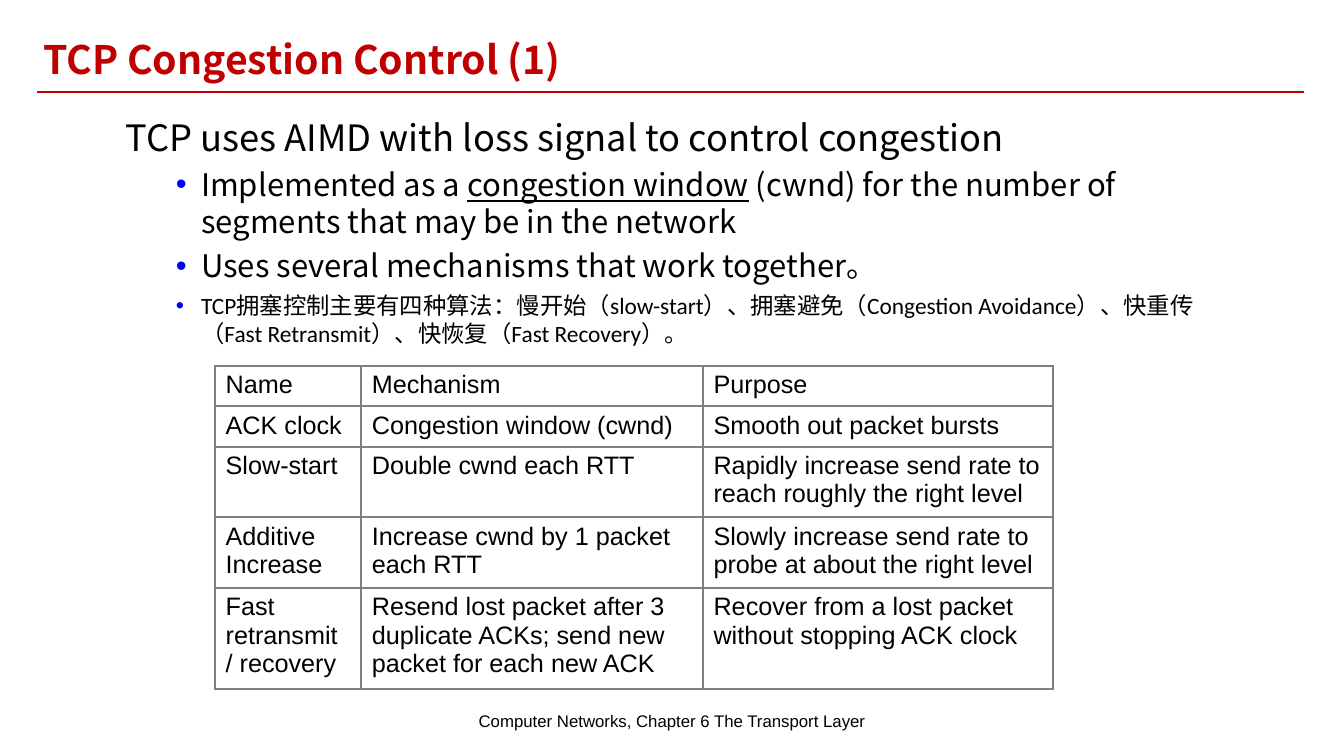
from dataclasses import dataclass

from lxml import etree
from pptx import Presentation
from pptx.dml.color import RGBColor
from pptx.enum.shapes import MSO_CONNECTOR as Connector, MSO_SHAPE as Shape
from pptx.enum.text import MSO_ANCHOR as Anchor, PP_ALIGN as Align
from pptx.oxml.ns import qn
from pptx.util import Pt


@dataclass(frozen=True)
class Theme:
    red: str = "C00000"
    blue: str = "0000FF"
    black: str = "000000"
    white: str = "FFFFFF"
    grey: str = "808080"
    cjk: str = "Noto Sans CJK SC"
    latin: str = "Calibri"
    plain: str = "Arial"
    title: float = 28
    lead: float = 25.9
    point: float = 22.2
    note: float = 16.7
    cell: float = 18
    footer: float = 12
    rule: float = 1.5


THEME = Theme()

POINTS = [
    (["Implemented as a ", "congestion window",
      " (cwnd) for the number of segments that may be in the network"], THEME.point, THEME.cjk),
    (["Uses several mechanisms that work together。"], THEME.point, THEME.cjk),
    (["TCP拥塞控制主要有四种算法：慢开始（slow-start）、拥塞避免（Congestion Avoidance）、"
      "快重传（Fast Retransmit）、快恢复（Fast Recovery）。"], THEME.note, THEME.latin),
]

MECHANISMS = [
    ("Name", "Mechanism", "Purpose"),
    ("ACK clock", "Congestion window (cwnd)", "Smooth out packet bursts"),
    ("Slow-start", "Double cwnd each RTT",
     "Rapidly increase send rate to reach roughly the right level"),
    ("Additive Increase", "Increase cwnd by 1 packet each RTT",
     "Slowly increase send rate to probe at about the right level"),
    ("Fast retransmit / recovery",
     "Resend lost packet after 3 duplicate ACKs; send new packet for each new ACK",
     "Recover from a lost packet without stopping ACK clock"),
]
COLUMN_WIDTHS = [104.4, 244.1, 249.8]
ROW_HEIGHTS = [26.4, 26.4, 46.4, 46.4, 66.2]


def color(value):
    return RGBColor.from_string(value)


def add_text(para, text, *, size, font=THEME.plain, fill=THEME.black, bold=False, underline=False):
    """Add one formatted span to a paragraph."""
    span = para.add_run()
    span.text = text
    span.font.size = Pt(size)
    span.font.name = font
    span.font.bold = bold
    span.font.underline = underline
    span.font.color.rgb = color(fill)
    east_asian = etree.Element(qn("a:ea"), typeface=THEME.cjk)
    span.font._element.find(qn("a:latin")).addnext(east_asian)


def set_bullet(para):
    """Give a paragraph a blue bullet with a hanging indent."""
    para.level = 1
    props = para._p.get_or_add_pPr()
    props.set("marL", str(Pt(54)))
    props.set("indent", str(Pt(-18)))
    tint = etree.SubElement(props, qn("a:buClr"))
    etree.SubElement(tint, qn("a:srgbClr"), val=THEME.blue)
    etree.SubElement(props, qn("a:buFont"), typeface=THEME.plain)
    etree.SubElement(props, qn("a:buChar"), char="•")


def set_borders(cell):
    """Draw the four edges of a cell; they come before its fill."""
    props = cell._tc.get_or_add_tcPr()
    for index, side in enumerate(("a:lnL", "a:lnR", "a:lnT", "a:lnB")):
        edge = etree.Element(qn(side), w=str(Pt(THEME.rule)))
        fill = etree.SubElement(edge, qn("a:solidFill"))
        etree.SubElement(fill, qn("a:srgbClr"), val=THEME.grey)
        props.insert(index, edge)


def add_rule(page, left, right, top):
    line = page.shapes.add_connector(Connector.STRAIGHT, Pt(left), Pt(top), Pt(right), Pt(top))
    line.line.color.rgb = color(THEME.red)
    line.line.width = Pt(THEME.rule)
    etree.SubElement(line._element.spPr, qn("a:effectLst"))


def add_title(page, text):
    box = page.shapes.add_shape(Shape.RECTANGLE, Pt(23.8), Pt(21.6), Pt(922.3), Pt(41))
    box.shadow.inherit = False
    box.fill.solid()
    box.fill.fore_color.rgb = color(THEME.white)
    box.line.fill.background()
    box.text_frame.vertical_anchor = Anchor.MIDDLE
    para = box.text_frame.paragraphs[0]
    para.alignment = Align.LEFT
    add_text(para, text, size=THEME.title, font=THEME.cjk, fill=THEME.red, bold=True)


def add_body(page, lead):
    frame = page.shapes.add_textbox(Pt(82.6), Pt(78.5), Pt(799.2), Pt(175)).text_frame
    frame.word_wrap = True
    para = frame.paragraphs[0]
    add_text(para, lead, size=THEME.lead, font=THEME.cjk)
    for spans, size, font in POINTS:
        para = frame.add_paragraph()
        set_bullet(para)
        para.space_before = Pt(5)
        for index, text in enumerate(spans):
            add_text(para, text, size=size, font=font, underline=index == 1)


def add_mechanism_table(page):
    table = page.shapes.add_table(
        len(MECHANISMS), len(COLUMN_WIDTHS), Pt(153.6), Pt(261.4),
        Pt(sum(COLUMN_WIDTHS)), Pt(sum(ROW_HEIGHTS))).table
    table.first_row = table.horz_banding = False
    for column, width in zip(table.columns, COLUMN_WIDTHS):
        column.width = Pt(width)
    for row, height, texts in zip(table.rows, ROW_HEIGHTS, MECHANISMS):
        row.height = Pt(height)
        for cell, text in zip(row.cells, texts):
            cell.margin_left = cell.margin_right = Pt(7.6)
            cell.fill.solid()
            cell.fill.fore_color.rgb = color(THEME.white)
            set_borders(cell)
            add_text(cell.text_frame.paragraphs[0], text, size=THEME.cell)


def add_footer(page, text):
    frame = page.shapes.add_textbox(Pt(318.2), Pt(500.4), Pt(324), Pt(28.8)).text_frame
    frame.word_wrap = True
    frame.vertical_anchor = Anchor.MIDDLE
    para = frame.paragraphs[0]
    para.alignment = Align.CENTER
    add_text(para, text, size=THEME.footer)


def main():
    deck = Presentation()
    deck.slide_width, deck.slide_height = Pt(960), Pt(540)
    page = deck.slides.add_slide(deck.slide_layouts[6])

    # Heading
    add_title(page, "TCP Congestion Control (1)")
    add_rule(page, 26.6, 931.3, 65.8)

    # Content
    add_body(page, "TCP uses AIMD with loss signal to control congestion")
    add_mechanism_table(page)

    # Footer
    add_footer(page, "Computer Networks, Chapter 6 The Transport Layer")

    deck.save("out.pptx")


if __name__ == "__main__":
    main()
